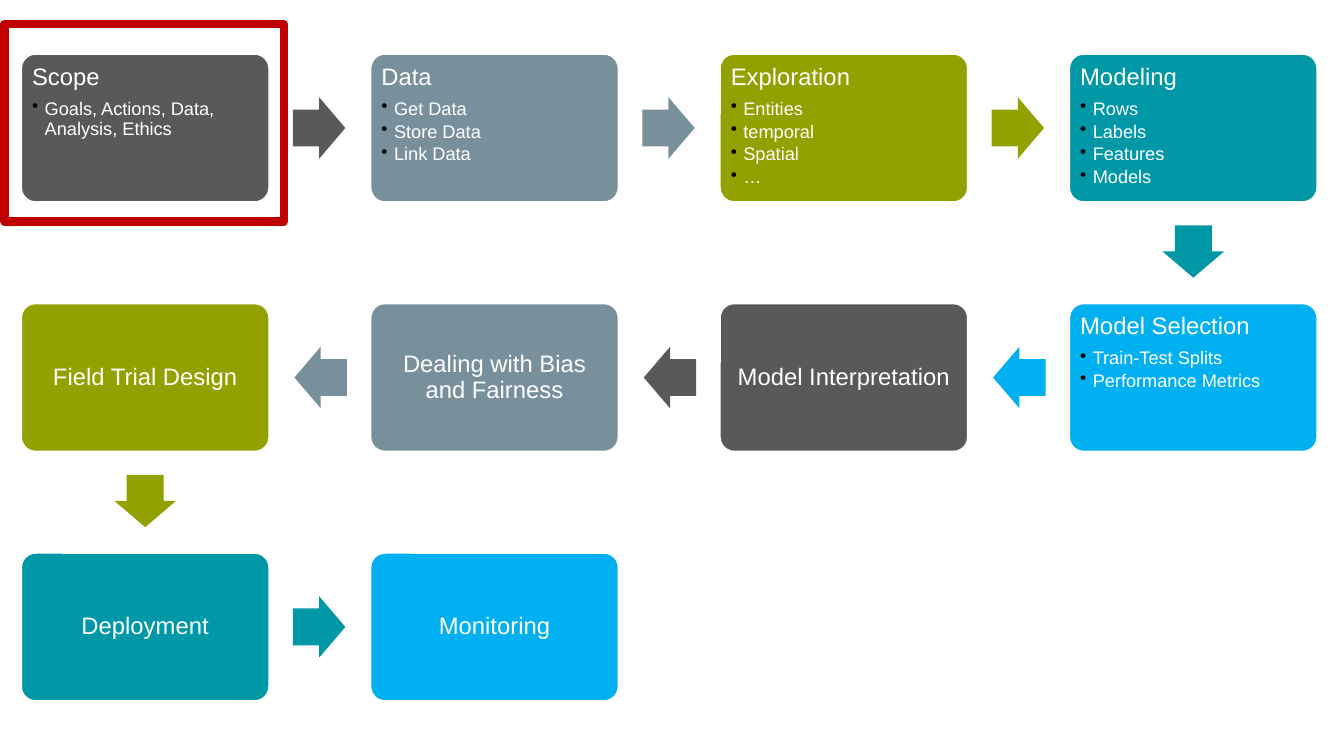
from lxml.etree import SubElement
from pptx import Presentation
from pptx.dml.color import RGBColor
from pptx.enum.shapes import MSO_SHAPE as Shape
from pptx.enum.text import MSO_ANCHOR as Anchor, PP_ALIGN as Align
from pptx.oxml.ns import qn
from pptx.util import Inches, Pt

# Stages in order: title, fill colour, details, grid column, grid row
STAGES = [
    ("Scope", "gray", ["Goals, Actions, Data, Analysis, Ethics"], 0, 0),
    ("Data", "slate", ["Get Data", "Store Data", "Link Data"], 1, 0),
    ("Exploration", "olive", ["Entities", "temporal", "Spatial", "…"], 2, 0),
    ("Modeling", "teal", ["Rows", "Labels", "Features", "Models"], 3, 0),
    ("Model Selection", "sky", ["Train-Test Splits", "Performance Metrics"], 3, 1),
    ("Model Interpretation", "gray", [], 2, 1),
    ("Dealing with Bias and Fairness", "slate", [], 1, 1),
    ("Field Trial Design", "olive", [], 0, 1),
    ("Deployment", "teal", [], 0, 2),
    ("Monitoring", "sky", [], 1, 2),
]

THEME = {
    "font": "Arial", "title": 17, "detail": 13,
    "gray": "595959", "slate": "78909C", "olive": "92A000",
    "teal": "0097A7", "sky": "00B0F0",
    "white": "FFFFFF", "bullet": "000000", "highlight": "C00000",
}

STAGE_W, STAGE_H = 2.47, 1.48
FIRST_X, FIRST_Y = 1.44, 1.27  # centre of the first stage
PITCH_X, PITCH_Y = 3.465, 2.475
ARROW_W, ARROW_H = 0.52, 0.61
ARROW_DX, ARROW_DY = 1.725, 1.225  # from stage centre to arrow centre
INSET, BULLET_INDENT = 0.07, 0.125


def color(key):
    return RGBColor.from_string(THEME[key])


def add_centered(slide, kind, x, y, width, height, fill=None):
    shape = slide.shapes.add_shape(kind, Inches(x - width / 2), Inches(y - height / 2),
                                   Inches(width), Inches(height))
    shape.shadow.inherit = False
    if fill:
        shape.fill.solid()
        shape.fill.fore_color.rgb = color(fill)
    else:
        shape.fill.background()
    return shape


def set_line(shape, key, width):
    shape.line.color.rgb = color(key)
    shape.line.width = Pt(width)


def add_bullet(paragraph):
    props = paragraph._p.get_or_add_pPr()
    props.set("marL", str(Inches(BULLET_INDENT)))
    props.set("indent", str(-Inches(BULLET_INDENT)))
    bullet_color = SubElement(props, qn("a:buClr"))
    SubElement(bullet_color, qn("a:srgbClr"), val=THEME["bullet"])
    SubElement(props, qn("a:buChar"), char="•")


def write_line(paragraph, text, size, align, space_after):
    paragraph.alignment = align
    paragraph.line_spacing = 0.9
    paragraph.space_after = Pt(space_after)
    run = paragraph.add_run()
    run.text = text
    run.font.name = THEME["font"]
    run.font.size = Pt(THEME[size])
    run.font.color.rgb = color("white")


def add_stage(slide, title, fill, details, x, y):
    stage = add_centered(slide, Shape.ROUNDED_RECTANGLE, x, y, STAGE_W, STAGE_H, fill)
    stage.adjustments[0] = 0.1
    set_line(stage, "white", 2)
    frame = stage.text_frame
    frame.word_wrap = True
    frame.margin_left = frame.margin_right = Inches(INSET)
    frame.margin_top = frame.margin_bottom = Inches(INSET)
    frame.vertical_anchor = Anchor.TOP if details else Anchor.MIDDLE
    write_line(frame.paragraphs[0], title, "title",
               Align.LEFT if details else Align.CENTER, 6.5 if details else 0)
    for detail in details:
        paragraph = frame.add_paragraph()
        paragraph.level = 1
        write_line(paragraph, detail, "detail", Align.LEFT, 2.2)
        add_bullet(paragraph)


def add_arrow(slide, fill, x, y, step_x, step_y):
    """Point from the stage centred at x, y to the next grid cell."""
    arrow = add_centered(slide, Shape.RIGHT_ARROW, x + step_x * ARROW_DX,
                         y + step_y * ARROW_DY, ARROW_W, ARROW_H, fill)
    arrow.adjustments[0] = 0.6
    arrow.adjustments[1] = 0.5
    arrow.line.fill.background()
    arrow.rotation = 90 if step_y else 180 if step_x < 0 else 0


def main():
    prs = Presentation()
    prs.slide_width, prs.slide_height = Inches(13.33), Inches(7.5)
    slide = prs.slides.add_slide(prs.slide_layouts[6])

    for stage, following in zip(STAGES, STAGES[1:] + [None]):
        title, fill, details, column, row = stage
        x, y = FIRST_X + column * PITCH_X, FIRST_Y + row * PITCH_Y
        add_stage(slide, title, fill, details, x, y)
        if following:
            add_arrow(slide, fill, x, y, following[3] - column, following[4] - row)

    highlight = add_centered(slide, Shape.RECTANGLE, 1.43, 1.22, 2.77, 1.96)
    set_line(highlight, "highlight", 6)

    prs.save("out.pptx")


if __name__ == "__main__":
    main()
